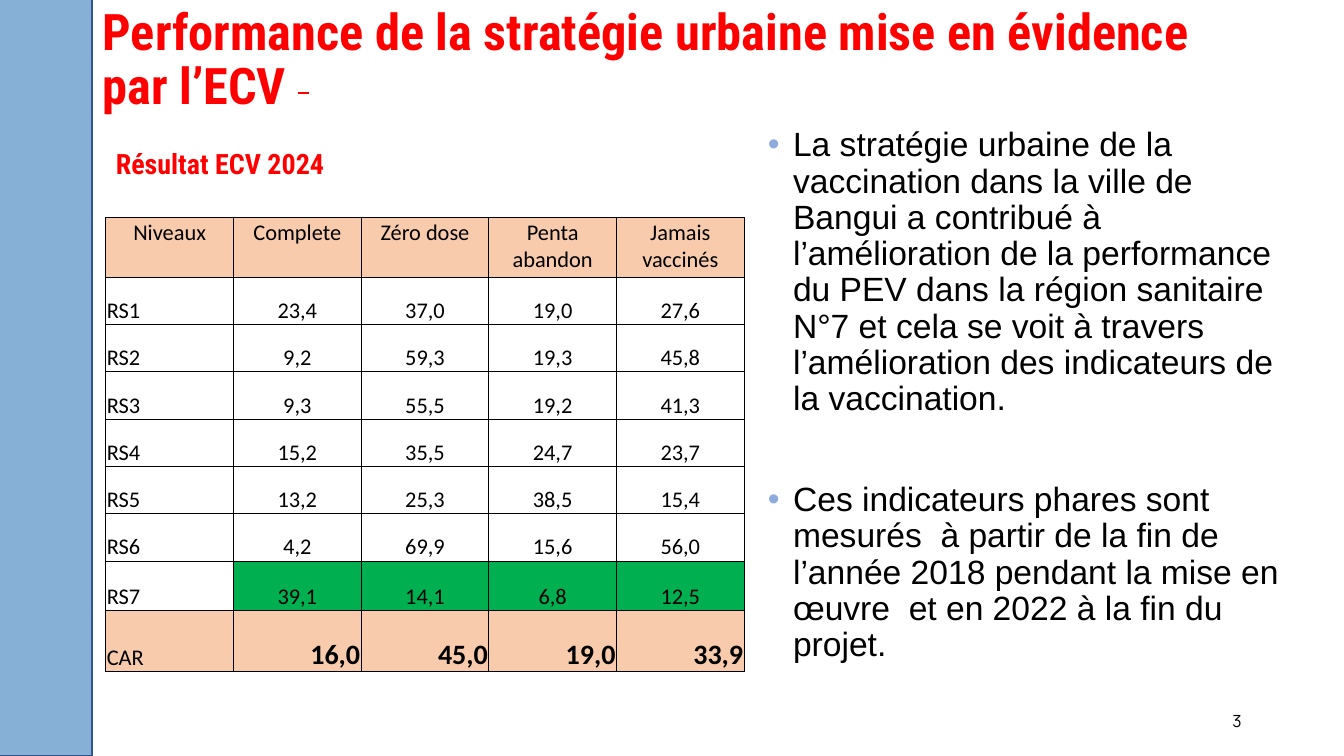
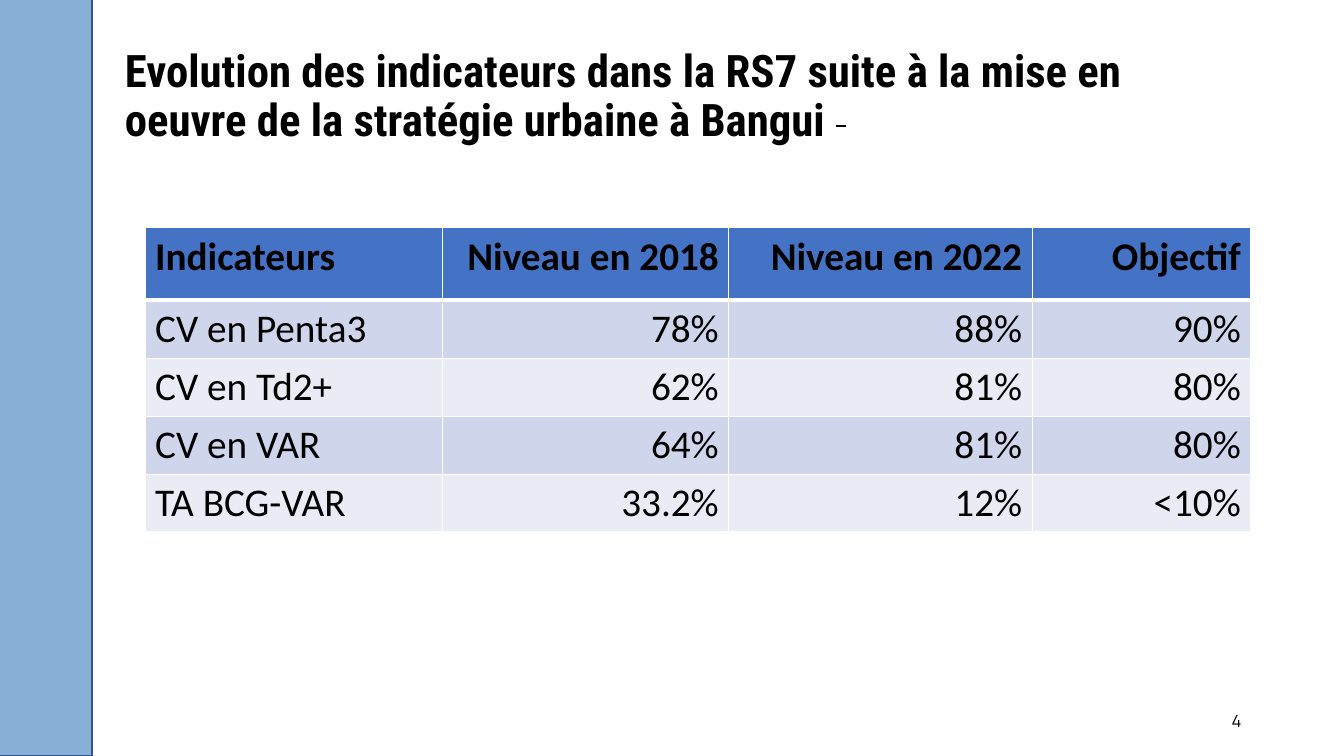
from lxml import etree
from pptx import Presentation
from pptx.dml.color import RGBColor
from pptx.enum.shapes import MSO_SHAPE
from pptx.enum.text import MSO_ANCHOR, PP_ALIGN
from pptx.oxml.ns import qn
from pptx.util import Pt

RECTANGLE = MSO_SHAPE.RECTANGLE
TOP, MIDDLE, BOTTOM = MSO_ANCHOR.TOP, MSO_ANCHOR.MIDDLE, MSO_ANCHOR.BOTTOM
LEFT, CENTER, RIGHT = PP_ALIGN.LEFT, PP_ALIGN.CENTER, PP_ALIGN.RIGHT

COLORS = {
    "band": "86B0D6", "band_line": "325491", "red": "FF0000", "black": "000000",
    "white": "FFFFFF", "bullet": "8FAADC", "peach": "F8CBAD", "green": "00B050",
    "header": "4472C4", "stripe_dark": "CFD5EA", "stripe_light": "E9EBF5",
}
TITLE_FONT, BODY_FONT, TABLE_FONT, NUMBER_FONT = "Roboto Condensed", "Arial", "Calibri", "Manrope"


def add_run(paragraph, text, font, size, color="black", bold=False):
    run = paragraph.add_run()
    run.text = text
    run.font.name = font
    run.font.size = Pt(size)
    run.font.bold = bold
    run.font.color.rgb = RGBColor.from_string(COLORS[color])
    return run


def fill_cell(cell, text, size, bold, align, anchor, fill, line, widths):
    cell.vertical_anchor = anchor
    paragraph = cell.text_frame.paragraphs[0]
    paragraph.alignment = align
    add_run(paragraph, text, TABLE_FONT, size, bold=bold)
    properties = cell._tc.get_or_add_tcPr()
    for side, width in zip("LRTB", widths):
        border = etree.SubElement(properties, qn(f"a:ln{side}"), w=str(Pt(width)))
        solid = etree.SubElement(border, qn("a:solidFill"))
        etree.SubElement(solid, qn("a:srgbClr"), val=COLORS[line])
    cell.fill.solid()
    cell.fill.fore_color.rgb = RGBColor.from_string(COLORS[fill])


presentation = Presentation()
presentation.slide_width = Pt(960)
presentation.slide_height = Pt(540)

titles = [
    ("Performance de la stratégie urbaine mise en évidence par l’ECV ", 36, "red", (66.2, -0.7, 828, 88.6)),
    ("Evolution des indicateurs dans la RS7 suite à la mise en oeuvre de la stratégie urbaine à Bangui ",
     32, "black", (82.1, 33.1, 797.8, 72.7)),
]
slides = []
for number, (title, size, color, box) in enumerate(titles, start=3):
    slide = presentation.slides.add_slide(presentation.slide_layouts[6])
    slides.append(slide)

    band = slide.shapes.add_shape(RECTANGLE, Pt(-3.6), Pt(-1.4), Pt(69.5), Pt(541.4))
    band.shadow.inherit = False
    band.fill.solid()
    band.fill.fore_color.rgb = RGBColor.from_string(COLORS["band"])
    band.line.color.rgb = RGBColor.from_string(COLORS["band_line"])
    band.line.width = Pt(1)

    title_frame = slide.shapes.add_textbox(*map(Pt, box)).text_frame
    title_frame.word_wrap = True
    title_frame.vertical_anchor = MIDDLE
    paragraph = title_frame.paragraphs[0]
    paragraph.line_spacing = 0.9
    add_run(paragraph, title, TITLE_FONT, size, color, True)
    dash = add_run(paragraph, " ", TITLE_FONT, size, color)
    dash.font._element.set("strike", "sngStrike")

    number_frame = slide.shapes.add_textbox(Pt(678), Pt(500.5), Pt(216), Pt(28.8)).text_frame
    number_frame.word_wrap = True
    number_frame.vertical_anchor = MIDDLE
    number_frame.paragraphs[0].alignment = RIGHT
    add_run(number_frame.paragraphs[0], str(number), NUMBER_FONT, 12)

results_slide, evolution_slide = slides

subtitle_frame = results_slide.shapes.add_textbox(Pt(75.6), Pt(100.8), Pt(483.8), Pt(31.7)).text_frame
subtitle_frame.word_wrap = True
add_run(subtitle_frame.paragraphs[0], "Résultat ECV 2024", TITLE_FONT, 20, "red", True)

findings = [
    ("La stratégie urbaine de la vaccination dans la ville de Bangui a contribué à l’amélioration "
     "de la performance du PEV dans la région sanitaire N°7 et cela se voit à travers  "
     "l’amélioration des indicateurs de la vaccination.", 10),
    ("Ces indicateurs phares sont mesurés  à partir de la fin de l’année 2018 pendant la mise en "
     "œuvre  et en 2022 à la fin du projet.", 46),
]
findings_frame = results_slide.shapes.add_textbox(Pt(541.4), Pt(87.8), Pt(382.3), Pt(413.3)).text_frame
findings_frame.word_wrap = True
for index, (text, space_before) in enumerate(findings):
    paragraph = findings_frame.add_paragraph() if index else findings_frame.paragraphs[0]
    paragraph.line_spacing = 0.9
    paragraph.space_before = Pt(space_before)
    properties = paragraph._p.get_or_add_pPr()
    properties.set("marL", str(Pt(18)))
    properties.set("indent", str(-Pt(18)))
    bullet_color = etree.SubElement(properties, qn("a:buClr"))
    etree.SubElement(bullet_color, qn("a:srgbClr"), val=COLORS["bullet"])
    etree.SubElement(properties, qn("a:buFont"), typeface=BODY_FONT)
    etree.SubElement(properties, qn("a:buChar"), char="•")
    add_run(paragraph, text, BODY_FONT, 24)

results = [
    ("Niveaux", "Complete", "Zéro dose", "Penta abandon", "Jamais vaccinés"),
    ("RS1", "23,4", "37,0", "19,0", "27,6"),
    ("RS2", "9,2", "59,3", "19,3", "45,8"),
    ("RS3", "9,3", "55,5", "19,2", "41,3"),
    ("RS4", "15,2", "35,5", "24,7", "23,7"),
    ("RS5", "13,2", "25,3", "38,5", "15,4"),
    ("RS6", "4,2", "69,9", "15,6", "56,0"),
    ("RS7", "39,1", "14,1", "6,8", "12,5"),
    ("CAR", "16,0", "45,0", "19,0", "33,9"),
]
result_heights = [42.5] + [33.8] * 6 + [35.3, 43.9]
results_table = results_slide.shapes.add_table(
    len(results), 5, Pt(75.6), Pt(155.5), Pt(456), Pt(sum(result_heights))).table
for column in results_table.columns:
    column.width = Pt(91.2)
for row, values in enumerate(results):
    results_table.rows[row].height = Pt(result_heights[row])
    header, total = row == 0, values[0] == "CAR"
    top_width = 1 if row in (0, 1, 8) else 0.5
    bottom_width = 1 if row in (0, 7, 8) else 0.5
    for column, text in enumerate(values):
        cell = results_table.cell(row, column)
        cell.margin_left = cell.margin_right = cell.margin_top = Pt(0.7)
        cell.margin_bottom = Pt(0)
        fill = "peach" if header or total else "green" if values[0] == "RS7" and column else "white"
        align = CENTER if header else LEFT if column == 0 else RIGHT if total else CENTER
        strong = total and column > 0
        fill_cell(cell, text, 20 if strong else 16, strong, align, TOP if header else BOTTOM,
                  fill, "black", (1, 1, top_width, bottom_width))

indicators = [
    ("Indicateurs", "Niveau en 2018", "Niveau en 2022", "Objectif"),
    ("CV en Penta3", "78%", "88%", "90%"),
    ("CV en Td2+", "62%", "81%", "80%"),
    ("CV en VAR", "64%", "81%", "80%"),
    ("TA BCG-VAR", "33.2%", "12%", "<10%"),
]
indicator_widths = [212.4, 204.5, 216.7, 156.2]
indicator_heights = [51.8] + [41.4] * 4
indicators_table = evolution_slide.shapes.add_table(
    len(indicators), 4, Pt(103.7), Pt(162.7), Pt(sum(indicator_widths)), Pt(sum(indicator_heights))).table
for column, width in enumerate(indicator_widths):
    indicators_table.columns[column].width = Pt(width)
for row, values in enumerate(indicators):
    indicators_table.rows[row].height = Pt(indicator_heights[row])
    fill = "header" if row == 0 else "stripe_dark" if row % 2 else "stripe_light"
    for column, text in enumerate(values):
        fill_cell(indicators_table.cell(row, column), text, 28, row == 0, RIGHT if column else LEFT, TOP,
                  fill, "white", (1, 1, 3 if row == 1 else 1, 3 if row == 0 else 1))

presentation.save("out.pptx")
